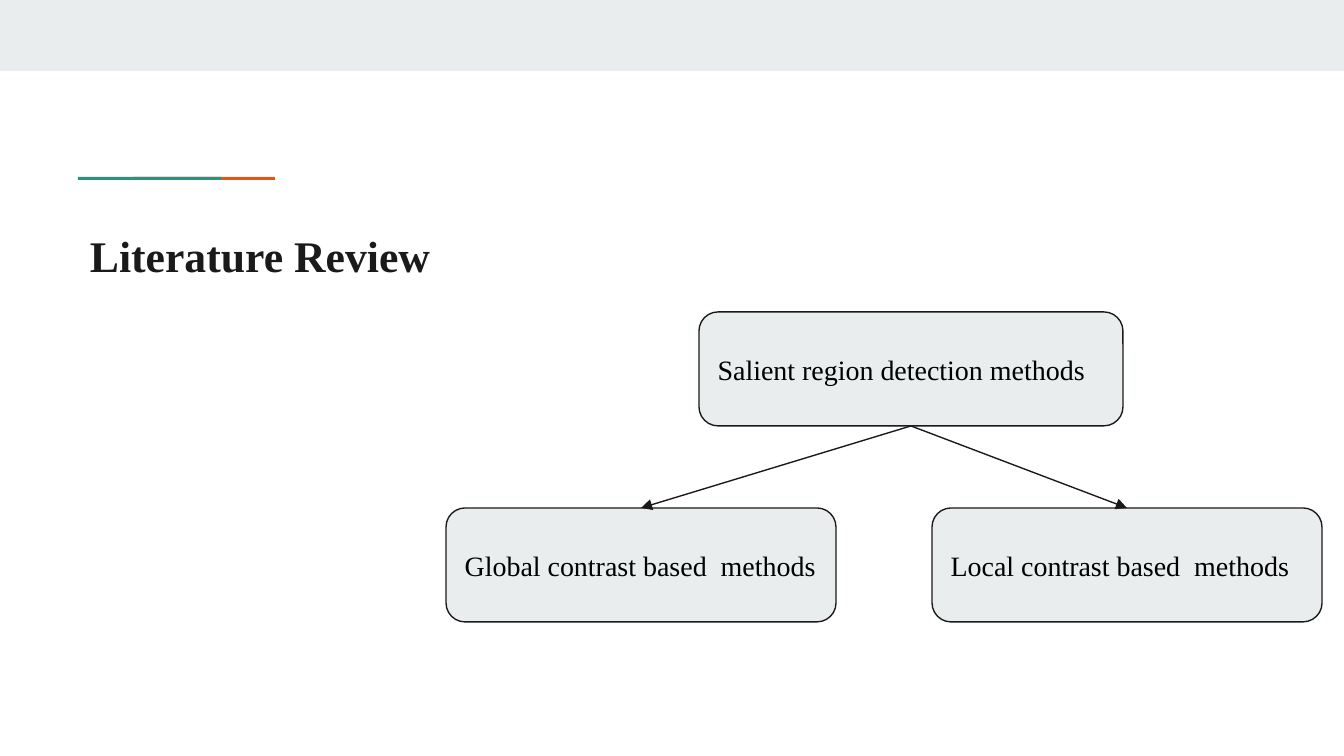
from dataclasses import dataclass

from lxml.etree import SubElement
from pptx import Presentation
from pptx.dml.color import RGBColor
from pptx.enum.shapes import MSO_CONNECTOR, MSO_SHAPE
from pptx.enum.text import MSO_ANCHOR, PP_ALIGN
from pptx.oxml.ns import qn
from pptx.util import Pt

TITLE = ("Literature Review", (77, 216, 1130, 79))
PARENT = ("Salient region detection methods", (699, 312, 424, 114))
CHILDREN = [
    ("Global contrast based  methods", (446, 508, 390, 114)),
    ("Local contrast based  methods", (932, 508, 390, 114)),
]


@dataclass(frozen=True)
class Theme:
    band: RGBColor = RGBColor.from_string("E9EDEE")
    orange: RGBColor = RGBColor.from_string("EB5600")
    teal: RGBColor = RGBColor.from_string("1A9988")
    dark: RGBColor = RGBColor.from_string("1A1A1A")
    black: RGBColor = RGBColor.from_string("000000")
    font: str = "Times New Roman"
    title_size: float = 23.4
    box_size: float = 15
    line_width: float = 0.75
    inset: int = 13


THEME = Theme()
BARS = [
    ((0, 0, 1344, 71), THEME.band),
    ((133, 177, 142, 3), THEME.orange),
    ((78, 177, 143, 3), THEME.teal),
]
EMU_PER_PX = 914400 / 134.4


def px(*lengths):
    return [round(length * EMU_PER_PX) for length in lengths]


def add_bar(slide, place, color):
    bar = slide.shapes.add_shape(MSO_SHAPE.RECTANGLE, *px(*place))
    bar.shadow.inherit = False
    bar.fill.solid()
    bar.fill.fore_color.rgb = color
    bar.line.fill.background()


def write_text(shape, text, size, color, bold, anchor):
    frame = shape.text_frame
    inset = px(THEME.inset)[0]
    frame_format = {"word_wrap": True, "vertical_anchor": anchor,
                    "margin_left": inset, "margin_right": inset,
                    "margin_top": inset, "margin_bottom": inset}
    for name, value in frame_format.items():
        setattr(frame, name, value)
    paragraph = frame.paragraphs[0]
    paragraph.alignment = PP_ALIGN.LEFT
    run = paragraph.add_run()
    run.text = text
    for name, value in {"name": THEME.font, "size": Pt(size), "bold": bold}.items():
        setattr(run.font, name, value)
    run.font.color.rgb = color


def style_line(line):
    line.color.rgb = THEME.dark
    line.width = Pt(THEME.line_width)


def add_box(slide, text, place):
    box = slide.shapes.add_shape(MSO_SHAPE.ROUNDED_RECTANGLE, *px(*place))
    box.shadow.inherit = False
    box.fill.solid()
    box.fill.fore_color.rgb = THEME.band
    style_line(box.line)
    write_text(box, text, THEME.box_size, THEME.black, False, MSO_ANCHOR.MIDDLE)
    return box


def add_arrow(slide, parent, child):
    """Join the parent's bottom to the child's top."""
    arrow = slide.shapes.add_connector(MSO_CONNECTOR.STRAIGHT, 0, 0, 0, 0)
    arrow.begin_connect(parent, 2)
    arrow.end_connect(child, 0)
    style_line(arrow.line)
    SubElement(arrow.line._get_or_add_ln(), qn("a:tailEnd"), type="triangle")
    SubElement(arrow._element.spPr, qn("a:effectLst"))


def main():
    presentation = Presentation()
    presentation.slide_width, presentation.slide_height = px(1344, 756)
    slide = presentation.slides.add_slide(presentation.slide_layouts[6])
    for place, color in BARS:
        add_bar(slide, place, color)
    title, place = TITLE
    write_text(slide.shapes.add_textbox(*px(*place)), title,
               THEME.title_size, THEME.dark, True, MSO_ANCHOR.TOP)
    parent = add_box(slide, *PARENT)
    children = [add_box(slide, *child) for child in CHILDREN]
    for child in children:
        add_arrow(slide, parent, child)
    presentation.save("out.pptx")


if __name__ == "__main__":
    main()
